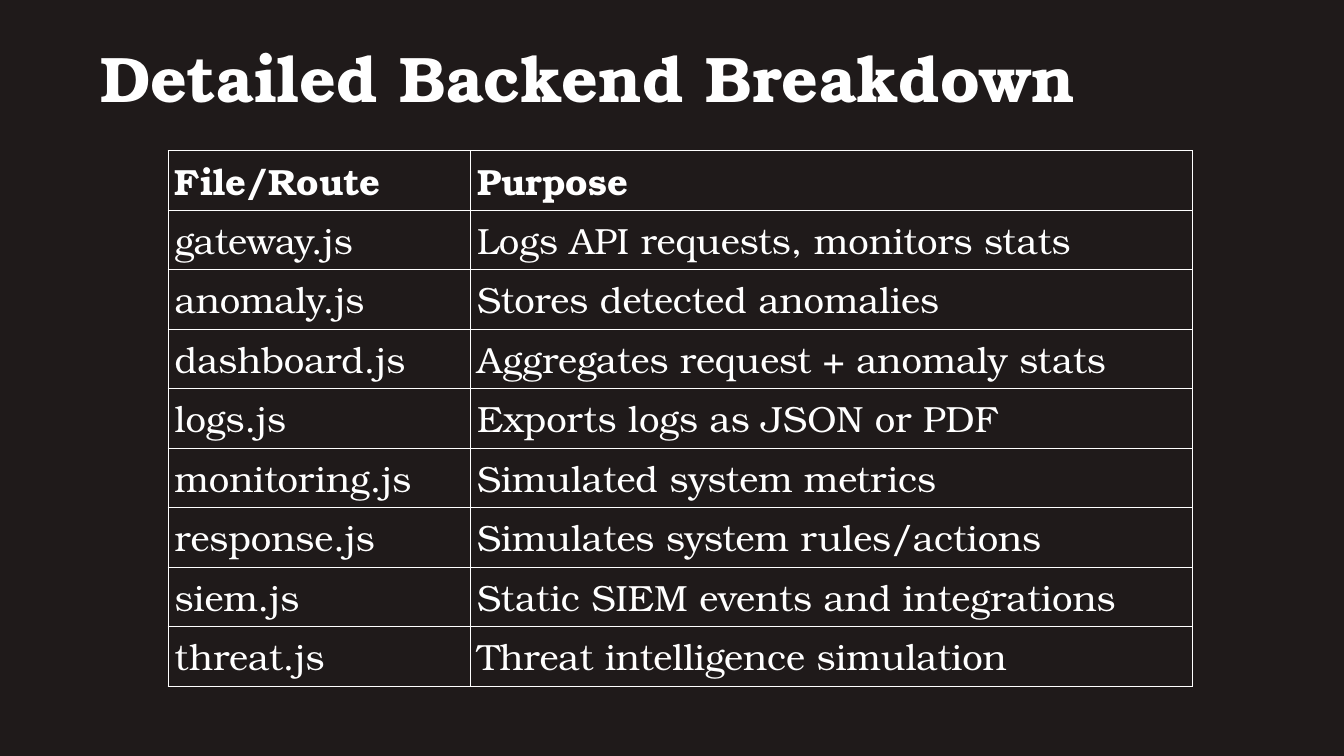
from dataclasses import dataclass
from typing import NamedTuple

from lxml import etree
from pptx import Presentation
from pptx.dml.color import RGBColor
from pptx.enum.text import MSO_ANCHOR, MSO_AUTO_SIZE
from pptx.oxml.ns import qn
from pptx.util import Inches, Pt

MIDDLE = MSO_ANCHOR.MIDDLE
TOP = MSO_ANCHOR.TOP
GROW = MSO_AUTO_SIZE.SHAPE_TO_FIT_TEXT
BLANK_LAYOUT = 6
BORDER_SIDES = ("a:lnL", "a:lnR", "a:lnT", "a:lnB")


@dataclass(frozen=True)
class Theme:
    background: str = "1F1A1A"
    foreground: str = "FFFFFF"
    font: str = "TeX Gyre Bonum"
    title_size: float = 69
    title_leading: float = 42
    table_size: float = 39
    border_width: float = 1


class Route(NamedTuple):
    file: str
    purpose: str


THEME = Theme()
TITLE = "Detailed Backend Breakdown"
HEADER = Route("File/Route", "Purpose")
ROUTES = (
    Route("gateway.js", "Logs API requests, monitors stats"),
    Route("anomaly.js", "Stores detected anomalies"),
    Route("dashboard.js", "Aggregates request + anomaly stats"),
    Route("logs.js", "Exports logs as JSON or PDF"),
    Route("monitoring.js", "Simulated system metrics"),
    Route("response.js", "Simulates system rules/actions"),
    Route("siem.js", "Static SIEM events and integrations"),
    Route("threat.js", "Threat intelligence simulation"),
)
COLUMN_WIDTHS = (4.5, 10.75)
TABLE_HEIGHT = 7.97


def add_run(paragraph, text: str, size: float, bold: bool) -> None:
    run = paragraph.add_run()
    run.text = text
    run.font.name = THEME.font
    run.font.size = Pt(size)
    run.font.bold = bold
    run.font.color.rgb = RGBColor.from_string(THEME.foreground)


def add_title(slide) -> None:
    shape = slide.shapes.add_textbox(Inches(1.42), Inches(1.04), Inches(15.5), Inches(0.77))
    frame = shape.text_frame
    frame.word_wrap = True
    frame.auto_size = GROW
    frame.vertical_anchor = TOP
    frame.margin_left = frame.margin_right = Inches(0.07)
    frame.margin_top = frame.margin_bottom = Inches(0.09)
    paragraph = frame.paragraphs[0]
    paragraph.line_spacing = Pt(THEME.title_leading)
    add_run(paragraph, TITLE, THEME.title_size, True)


def set_borders(cell) -> None:
    properties = cell._tc.get_or_add_tcPr()
    for index, side in enumerate(BORDER_SIDES):
        line = etree.Element(qn(side), w=str(Pt(THEME.border_width)))
        fill = etree.SubElement(line, qn("a:solidFill"))
        etree.SubElement(fill, qn("a:srgbClr"), val=THEME.foreground)
        properties.insert(index, line)


def fill_cell(cell, text: str, bold: bool) -> None:
    cell.fill.background()
    cell.vertical_anchor = MIDDLE
    set_borders(cell)
    add_run(cell.text_frame.paragraphs[0], text, THEME.table_size, bold)


def add_route_table(slide) -> None:
    rows = (HEADER, *ROUTES)
    table = slide.shapes.add_table(
        len(rows), len(COLUMN_WIDTHS), Inches(2.5), Inches(2.24),
        Inches(sum(COLUMN_WIDTHS)), Inches(TABLE_HEIGHT),
    ).table
    table.horz_banding = False
    for column, width in zip(table.columns, COLUMN_WIDTHS):
        column.width = Inches(width)
    for row_index, route in enumerate(rows):
        table.rows[row_index].height = Inches(TABLE_HEIGHT / len(rows))
        for column_index, text in enumerate(route):
            fill_cell(table.cell(row_index, column_index), text, row_index == 0)


def main() -> None:
    """Build the backend breakdown slide."""
    presentation = Presentation()
    presentation.slide_width = Inches(20)
    presentation.slide_height = Inches(11.25)
    slide = presentation.slides.add_slide(presentation.slide_layouts[BLANK_LAYOUT])
    background = slide.background.fill
    background.solid()
    background.fore_color.rgb = RGBColor.from_string(THEME.background)
    add_title(slide)
    add_route_table(slide)
    presentation.save("out.pptx")


if __name__ == "__main__":
    main()
